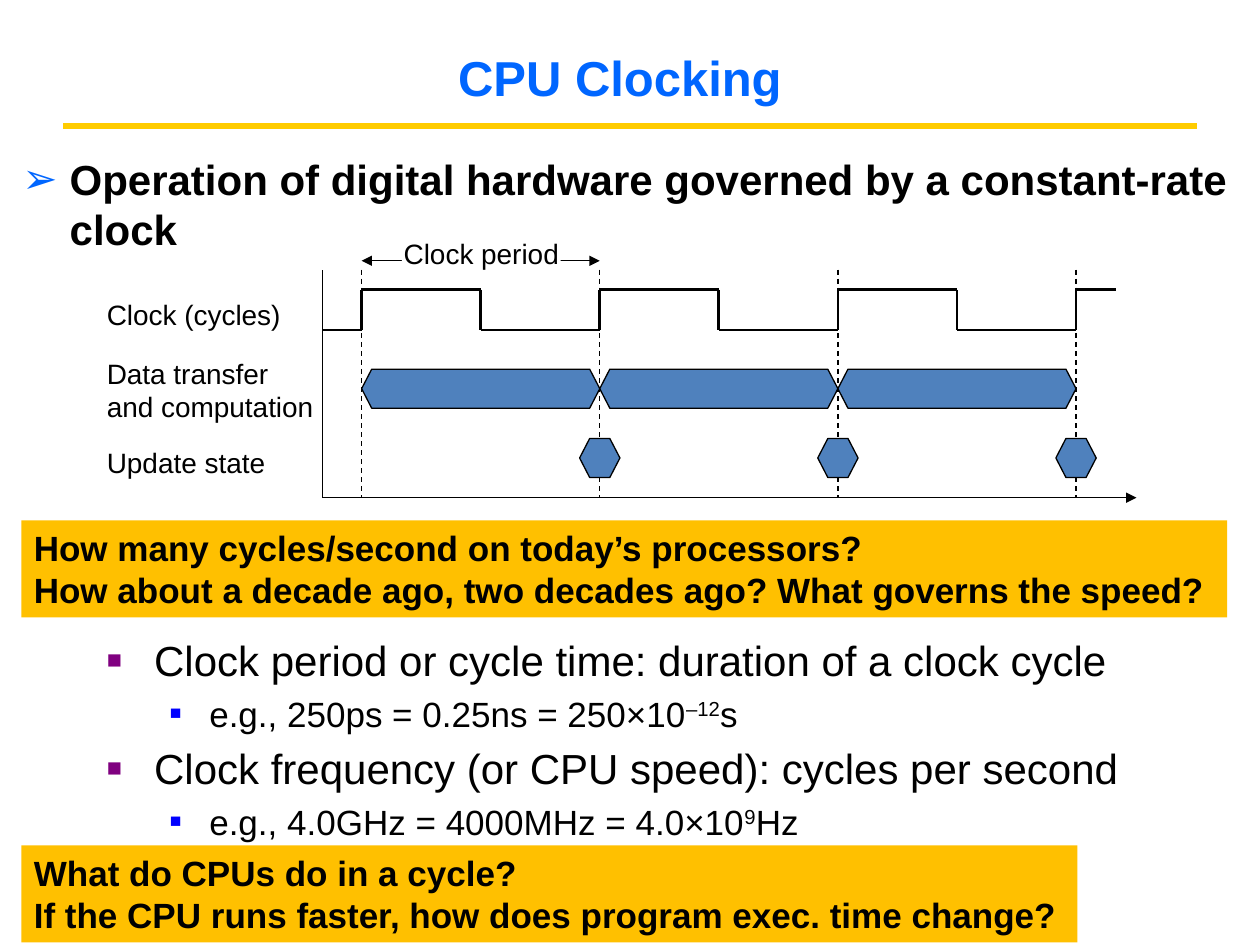
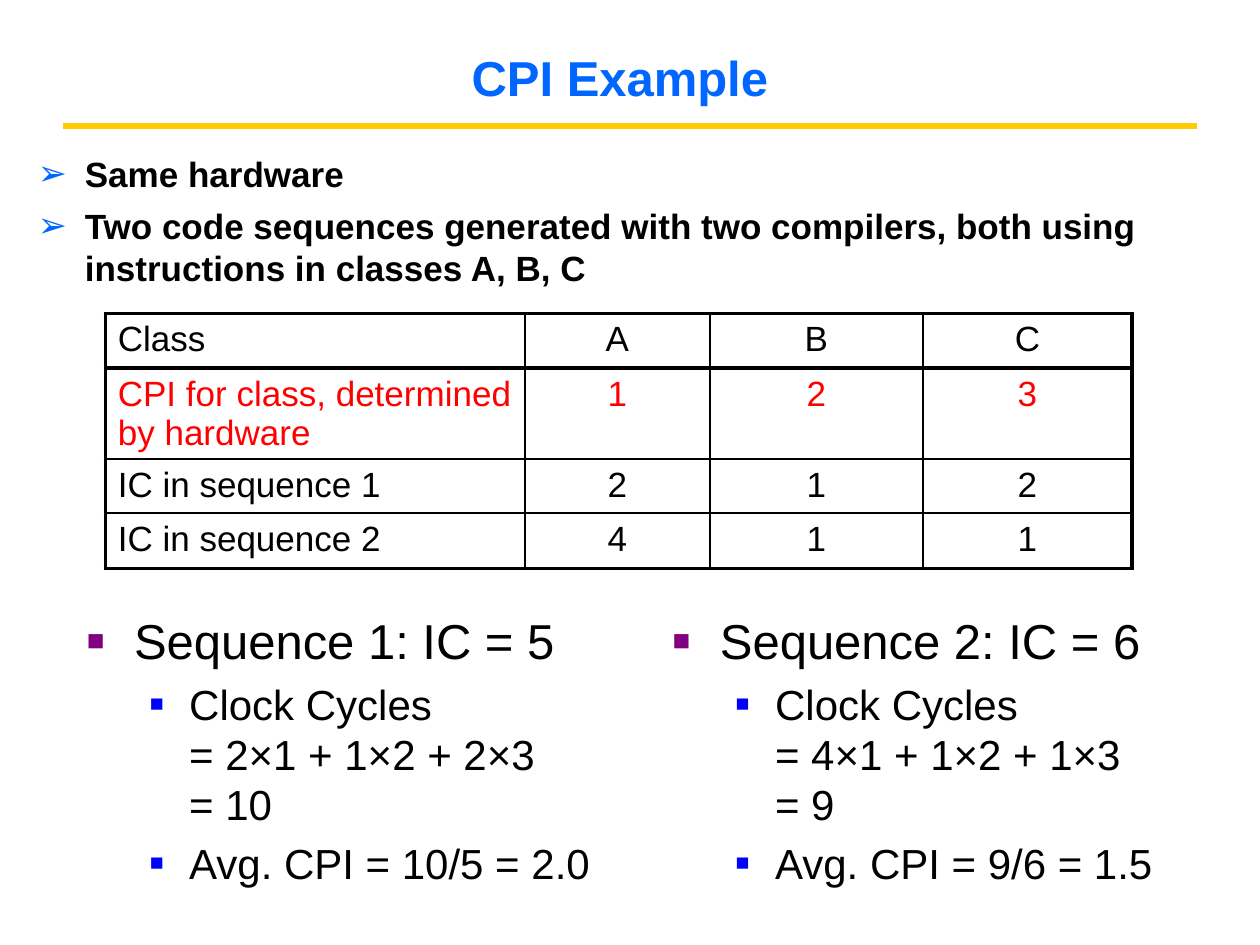
from typing import NamedTuple, Optional

from lxml import etree
from pptx import Presentation
from pptx.dml.color import RGBColor
from pptx.enum.dml import MSO_LINE
from pptx.enum.shapes import MSO_CONNECTOR, MSO_SHAPE
from pptx.enum.text import MSO_ANCHOR, PP_ALIGN
from pptx.oxml.ns import qn
from pptx.util import Inches, Pt

LEFT, MID = PP_ALIGN.LEFT, PP_ALIGN.CENTER
TOP, CORE = MSO_ANCHOR.TOP, MSO_ANCHOR.MIDDLE
DASH = MSO_LINE.DASH
LINE = MSO_CONNECTOR.STRAIGHT
RECT = MSO_SHAPE.RECTANGLE

BLACK = RGBColor(0x00, 0x00, 0x00)
WHITE = RGBColor(0xFF, 0xFF, 0xFF)
RED = RGBColor(0xFF, 0x00, 0x00)
BLUE = RGBColor(0x00, 0x00, 0xFF)
SKY = RGBColor(0x00, 0x66, 0xFF)
STEEL = RGBColor(0x4F, 0x81, 0xBD)
PLUM = RGBColor(0x80, 0x00, 0x80)
GOLD = RGBColor(0xFF, 0xCC, 0x00)
AMBER = RGBColor(0xFF, 0xC0, 0x00)
FONT = "Arial"

# The slide is a grid of square cells
COLS, ROWS = 100, 75
CELL = Inches(0.1)


def grid(count: float) -> int:
    return round(count * CELL)


class Box(NamedTuple):
    x: float
    y: float
    w: float
    h: float

    def emu(self) -> list[int]:
        return [grid(v) for v in self]


class Mark(NamedTuple):
    char: str
    color: RGBColor
    share: int
    left: float
    hang: float


class Style(NamedTuple):
    size: int
    color: RGBColor = BLACK
    bold: bool = False
    mark: Optional[Mark] = None
    gap: float = 0
    align: PP_ALIGN = LEFT
    lead: float = 1.2


class Para(NamedTuple):
    text: str
    style: Style


ARROW = Mark("➢", SKY, 100, 3.75, 3.75)
BLOCK = Mark("■", PLUM, 60, 3.75, 3.75)
CHIP = Mark("■", BLUE, 55, 8.13, 3.13)

TITLE = Style(28, SKY, True, align=MID)
LABEL = Style(16)
ASK = Style(20, bold=True)
LEAD = Style(24, bold=True, mark=ARROW)
POINT = Style(20, bold=True, mark=ARROW, gap=6)
TERM = Style(24, mark=BLOCK, gap=4.8)
CASE = Style(20, mark=CHIP, gap=4)
HEAD = Style(28, mark=BLOCK)
STEP = Style(24, mark=CHIP, gap=4.8)


# Text
def bullet(para, mark: Mark) -> None:
    props = para._p.get_or_add_pPr()
    props.set("marL", str(grid(mark.left)))
    props.set("indent", str(-grid(mark.hang)))
    tint = etree.SubElement(props, qn("a:buClr"))
    etree.SubElement(tint, qn("a:srgbClr"), val=str(mark.color))
    etree.SubElement(props, qn("a:buSzPct"), val=str(mark.share * 1000))
    etree.SubElement(props, qn("a:buFont"), typeface=FONT)
    etree.SubElement(props, qn("a:buChar"), char=mark.char)


def add_run(para, text: str, style: Style, raised: bool) -> None:
    run = para.add_run()
    run.text = text
    font = run.font
    font.name, font.size, font.bold = FONT, Pt(style.size), style.bold
    font.color.rgb = style.color
    if raised:
        run._r.get_or_add_rPr().set("baseline", "30000")


def write(frame, paras: list[Para]) -> None:
    """Text between carets is raised; a newline is a line break."""
    for i, (text, style) in enumerate(paras):
        para = frame.add_paragraph() if i else frame.paragraphs[0]
        para.alignment = style.align
        para.line_spacing = Pt(style.size * style.lead)
        if i and style.gap:
            para.space_before = Pt(style.gap)
        if style.mark:
            bullet(para, style.mark)
        for j, line in enumerate(text.split("\n")):
            if j:
                para.add_line_break()
            for k, part in enumerate(line.split("^")):
                add_run(para, part, style, k % 2 == 1)


def add_text(slide, box: Box, paras: list[Para], anchor=TOP) -> None:
    frame = slide.shapes.add_textbox(*box.emu()).text_frame
    frame.word_wrap = True
    frame.vertical_anchor = anchor
    write(frame, paras)


# Shapes
def add_line(slide, start, end, width=0.75, color=BLACK, dash=None, tips=()):
    ends = [grid(v) for v in (*start, *end)]
    link = slide.shapes.add_connector(LINE, *ends)
    link.line.color.rgb = color
    link.line.width = Pt(width)
    if dash:
        link.line.dash_style = dash
    for tip in tips:
        etree.SubElement(link.line._get_or_add_ln(), qn(f"a:{tip}"), type="triangle")
    etree.SubElement(link._element.spPr, qn("a:effectLst"))


def add_rect(slide, box: Box, color: RGBColor):
    rect = slide.shapes.add_shape(RECT, *box.emu())
    rect.shadow.inherit = False
    rect.fill.solid()
    rect.fill.fore_color.rgb = color
    rect.line.fill.background()
    return rect


def add_ask(slide, box: Box, lines: list[str]) -> None:
    frame = add_rect(slide, box, AMBER).text_frame
    frame.word_wrap = True
    frame.vertical_anchor = TOP
    write(frame, [Para(line, ASK) for line in lines])


def add_hex(slide, box: Box, nip: float = 0.8) -> None:
    x, y, w, h = box
    mid, end, low = y + h / 2, x + w, y + h
    dots = [(x, mid), (x + nip, y), (end - nip, y),
            (end, mid), (end - nip, low), (x + nip, low)]
    spots = [(grid(a), grid(b)) for a, b in dots]
    pen = slide.shapes.build_freeform(*spots[0], scale=1.0)
    pen.add_line_segments(spots[1:], close=True)
    shape = pen.convert_to_shape()
    shape.shadow.inherit = False
    shape.fill.solid()
    shape.fill.fore_color.rgb = STEEL
    shape.line.color.rgb = BLACK
    shape.line.width = Pt(0.75)


def edge(cell, side: str, width: float) -> None:
    line = etree.SubElement(cell._tc.get_or_add_tcPr(), qn(f"a:ln{side}"), w=str(Pt(width)))
    fill = etree.SubElement(line, qn("a:solidFill"))
    etree.SubElement(fill, qn("a:srgbClr"), val=str(BLACK))


def add_grid(slide, x: float, y: float, wide, high, data) -> None:
    box = Box(x, y, sum(wide), sum(high))
    table = slide.shapes.add_table(len(high), len(wide), *box.emu()).table
    table.first_row = table.horz_banding = False
    for col, w in zip(table.columns, wide):
        col.width = grid(w)
    for row, h in zip(table.rows, high):
        row.height = grid(h)
    for r, line in enumerate(data):
        for c, text in enumerate(line):
            cell = table.cell(r, c)
            thick = {"L": c == 0, "R": c == len(wide) - 1,
                     "T": r <= 1, "B": r in (0, len(high) - 1)}
            for side, bold in thick.items():
                edge(cell, side, 2.25 if bold else 1)
            cell.fill.solid()
            cell.fill.fore_color.rgb = WHITE
            style = Style(20, RED if r == 1 else BLACK, align=MID if c else LEFT, lead=1.12)
            write(cell.text_frame, [Para(text, style)])


def new_slide(deck, title: str):
    slide = deck.slides.add_slide(deck.slide_layouts[6])
    add_line(slide, (5, 10), (COLS - 5, 10), 3, GOLD)
    add_text(slide, Box(1.7, 3, 95, 6.2), [Para(title, TITLE)], CORE)
    return slide


# Timing chart
def draw_clock(slide) -> None:
    axis, first, span, count = 25.6, 28.7, 18.9, 3
    top, base, high, low = 21.4, 39.5, 23, 26.2
    ticks = [first + i * span for i in range(count + 1)]

    # Period and cycle bounds
    add_line(slide, (first, 20.7), (ticks[1], 20.7), tips=("headEnd", "tailEnd"))
    for x in ticks:
        add_line(slide, (x, top), (x, base), dash=DASH)

    # Square wave
    wave = [(axis, low)]
    for x in ticks[:-1]:
        half = x + span / 2
        wave += [(x, low), (x, high), (half, high), (half, low)]
    wave += [(ticks[-1], low), (ticks[-1], high), (88.6, high)]
    for start, end in zip(wave, wave[1:]):
        add_line(slide, start, end, 1.5)

    # Work in each cycle, then the update at its end
    for x in ticks[:-1]:
        add_hex(slide, Box(x, 29.3, span, 3.1))
        add_hex(slide, Box(x + span - 1.6, 34.8, 3.2, 3.1))

    # Axes
    add_line(slide, (axis, base), (90.2, base), tips=("tailEnd",))
    add_line(slide, (axis, base), (axis, top))

    # Labels
    for y, h, text in [(23.1, 3.7, "Clock (cycles)"),
                       (27.8, 6.4, "Data transfer\nand computation"),
                       (34.9, 3.7, "Update state")]:
        add_text(slide, Box(7.5, y, 19, h), [Para(text, LABEL)])
    add_rect(slide, Box(31.9, 19.9, 12.6, 1.6), WHITE)
    add_text(slide, Box(30.2, 18.3, 16, 3.7),
             [Para("Clock period", LABEL._replace(align=MID))])


def clock_slide(deck) -> None:
    slide = new_slide(deck, "CPU Clocking")
    add_text(slide, Box(0.8, 11.7, 98.3, 9), [
        Para("Operation of digital hardware governed by a constant-rate clock", LEAD)])
    draw_clock(slide)
    add_text(slide, Box(7.5, 49.9, 85, 18.6), [
        Para("Clock period or cycle time: duration of a clock cycle", TERM),
        Para("e.g., 250ps = 0.25ns = 250×10^–12^s", CASE),
        Para("Clock frequency (or CPU speed): cycles per second", TERM),
        Para("e.g., 4.0GHz = 4000MHz = 4.0×10^9^Hz", CASE)])
    add_ask(slide, Box(1.7, 41.3, 95.7, 7.7), [
        "How many cycles/second on today’s processors?",
        "How about a decade ago, two decades ago? What governs the speed?"])
    add_ask(slide, Box(1.7, 67.1, 83.8, 7.7), [
        "What do CPUs do in a cycle?",
        "If the CPU runs faster, how does program exec. time change?"])


def cpi_slide(deck) -> None:
    slide = new_slide(deck, "CPI Example")
    add_text(slide, Box(2, 11.6, 91.3, 10.9), [
        Para("Same hardware", POINT),
        Para("Two code sequences generated with two compilers, both using "
             "instructions in classes A, B, C", POINT)])
    add_grid(slide, 8.35, 24.9, (33.3, 14.7, 16.9, 16.6), (4.3, 7.2, 4.3, 4.4), [
        ("Class", "A", "B", "C"),
        ("CPI for class, determined by hardware", "1", "2", "3"),
        ("IC in sequence 1", "2", "1", "2"),
        ("IC in sequence 2", "4", "1", "1")])
    sums = [("Sequence 1: IC = 5", "2×1 + 1×2 + 2×3\n= 10", "10/5 = 2.0"),
            ("Sequence 2: IC = 6", "4×1 + 1×2 + 1×3\n= 9", "9/6 = 1.5")]
    for i, (name, cycles, mean) in enumerate(sums):
        add_text(slide, Box(5.9 + i * 46.5, 48, 42.5, 22.8), [
            Para(name, HEAD),
            Para(f"Clock Cycles\n= {cycles}", STEP),
            Para(f"Avg. CPI = {mean}", STEP)])


def main() -> None:
    deck = Presentation()
    deck.slide_width, deck.slide_height = grid(COLS), grid(ROWS)
    clock_slide(deck)
    cpi_slide(deck)
    deck.save("out.pptx")


if __name__ == "__main__":
    main()
